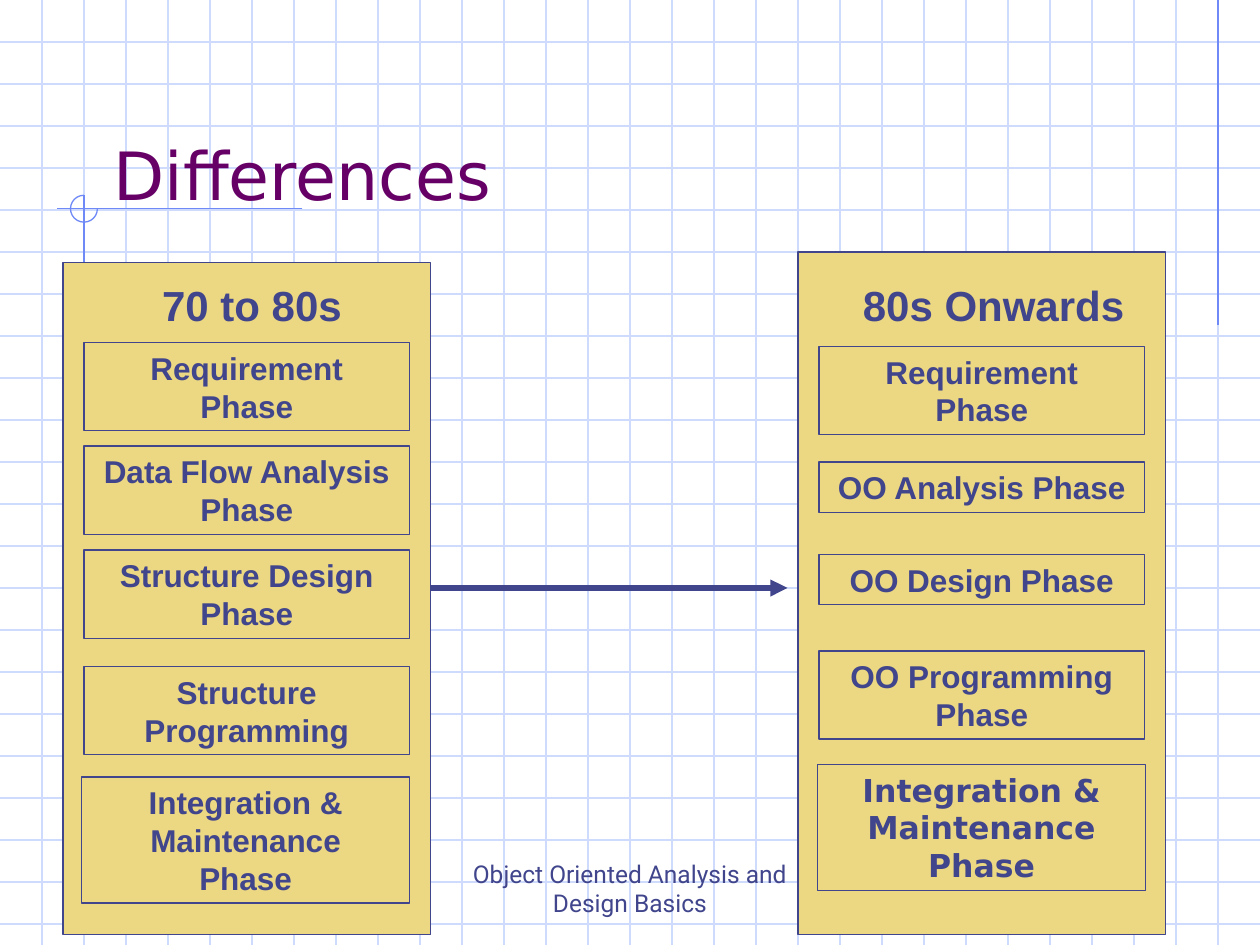
import pptx
import pptx.util
import pptx.dml.color
import pptx.enum.shapes
import pptx.enum.text
import pptx.oxml
import pptx.oxml.ns

COLS, ROWS = 30, 22.5  # the slide measured in cells of its squared paper
CELL = pptx.util.Inches(10) / COLS
INK, GOLD, PLUM = "40458C", "ECD882", "660066"
GRID, MARK = "CFDBFD", "6F89F7"
SHAPE = pptx.enum.shapes.MSO_SHAPE
ALIGN = pptx.enum.text.PP_ALIGN
ANCHOR = pptx.enum.text.MSO_ANCHOR
FIT = pptx.enum.text.MSO_AUTO_SIZE


def cells(*values):
    return [pptx.util.Emu(round(v * CELL)) for v in values]


def color(hex_string):
    return pptx.dml.color.RGBColor.from_string(hex_string)


def add_line(s, x1, y1, x2, y2, line, width=0.75, arrow=False):
    c = s.shapes.add_connector(pptx.enum.shapes.MSO_CONNECTOR.STRAIGHT,
                               *cells(x1, y1, x2, y2))
    c.line.color.rgb = color(line)
    c.line.width = pptx.util.Pt(width)
    if arrow:
        head = pptx.oxml.ns.qn("a:tailEnd")
        c.line._get_or_add_ln().append(c._element.makeelement(head, {"type": "triangle"}))
    effects = pptx.oxml.ns.qn("a:effectLst")
    c._element.spPr.append(c._element.makeelement(effects, {}))


def add_shape(s, kind, box, line, fill=None):
    sp = s.shapes.add_shape(kind, *cells(*box))
    sp.shadow.inherit = False
    if fill:
        sp.fill.solid()
        sp.fill.fore_color.rgb = color(fill)
    else:
        sp.fill.background()
    sp.line.color.rgb = color(line)
    sp.line.width = pptx.util.Pt(0.75)
    return sp


def write(sp, lines, size, font="Arial", ink=INK, bold=True, align=ALIGN.CENTER,
          anchor=ANCHOR.TOP, fit=FIT.SHAPE_TO_FIT_TEXT):
    tf = sp.text_frame
    tf.word_wrap = True
    tf.auto_size = fit
    tf.vertical_anchor = anchor
    for i, line in enumerate(lines):
        p = tf.add_paragraph() if i else tf.paragraphs[0]
        p.alignment = align
        r = p.add_run()
        r.text = line
        r.font.name = font
        r.font.size = pptx.util.Pt(size)
        r.font.bold = bold
        r.font.color.rgb = color(ink)


def add_text(s, box, lines, size, **style):
    write(s.shapes.add_textbox(*cells(*box)), lines, size, **style)


def add_background(s):
    # Squared paper
    for row in range(1, int(ROWS) + 1):
        add_line(s, 0, row, COLS, row, GRID)
    for col in range(1, COLS):
        add_line(s, col, 0, col, ROWS, GRID)
    # Margin rule and cross mark under the title
    add_line(s, 29, 0, 29, 7.75, MARK)
    add_line(s, 7.2, 4.97, 1.35, 4.97, MARK)
    add_line(s, 2, 4.65, 2, 12.27, MARK)
    arc = add_shape(s, SHAPE.ARC, (1.68, 4.65, 0.64, 0.64), MARK)
    arc.adjustments[0] = 0
    arc.adjustments[1] = 162  # three quarters of a turn


def add_phase(s, left, top, lines, height=2.1, width=7.75, font="Arial"):
    sp = add_shape(s, SHAPE.RECTANGLE, (left, top, width, height), INK)
    write(sp, lines, 18, font=font)


def add_title(s):
    title = s.shapes.title
    title.left, title.top, title.width, title.height = cells(2.4, 1.25, 26.25, 4)
    write(title, ["Differences"], 38, font="DejaVu Sans", ink=PLUM, bold=False,
          align=ALIGN.LEFT, anchor=ANCHOR.BOTTOM, fit=FIT.NONE)
    s.shapes._spTree.append(title._element)  # in front of the squared paper


def main():
    prs = pptx.Presentation()
    prs.slide_width, prs.slide_height = cells(COLS, ROWS)
    s = prs.slides.add_slide(prs.slide_layouts[5])
    add_background(s)

    # Footer
    add_text(s, (10.25, 20.5, 9.5, 1.5), ["Object Oriented Analysis and Design Basics"], 14,
             font="Roboto", bold=False, anchor=ANCHOR.BOTTOM, fit=FIT.NONE)

    requirement = ["Requirement", "Phase"]
    integration = ["Integration & Maintenance", "Phase"]

    # Structured approach
    add_shape(s, SHAPE.RECTANGLE, (1.5, 6.25, 8.75, 16), INK, GOLD)
    add_text(s, (2.75, 6.5, 6.5, 1.5), ["70 to 80s"], 24)
    for top, lines in [(8.16, requirement), (10.62, ["Data Flow Analysis Phase"]),
                       (13.1, ["Structure Design Phase"]),
                       (15.87, ["Structure Programming"])]:
        add_phase(s, 2, top, lines)
    add_phase(s, 1.95, 18.5, integration, height=3, width=7.8)

    # Object-oriented approach
    add_shape(s, SHAPE.RECTANGLE, (19, 6, 8.75, 16.25), INK, GOLD)
    add_text(s, (20.25, 6.5, 7.5, 1.5), ["80s Onwards"], 24, align=ALIGN.LEFT)
    for top, lines, height in [(8.25, requirement, 2.1), (11, ["OO Analysis Phase"], 1.2),
                               (13.2, ["OO Design Phase"], 1.2),
                               (15.5, ["OO Programming Phase"], 2.1)]:
        add_phase(s, 19.5, top, lines, height)
    add_phase(s, 19.47, 18.2, integration, height=3, width=7.8, font="DejaVu Sans")

    # From one approach to the other
    add_line(s, 10.25, 14, 18.75, 14, INK, width=3.25, arrow=True)
    add_title(s)
    prs.save("out.pptx")


if __name__ == "__main__":
    main()
